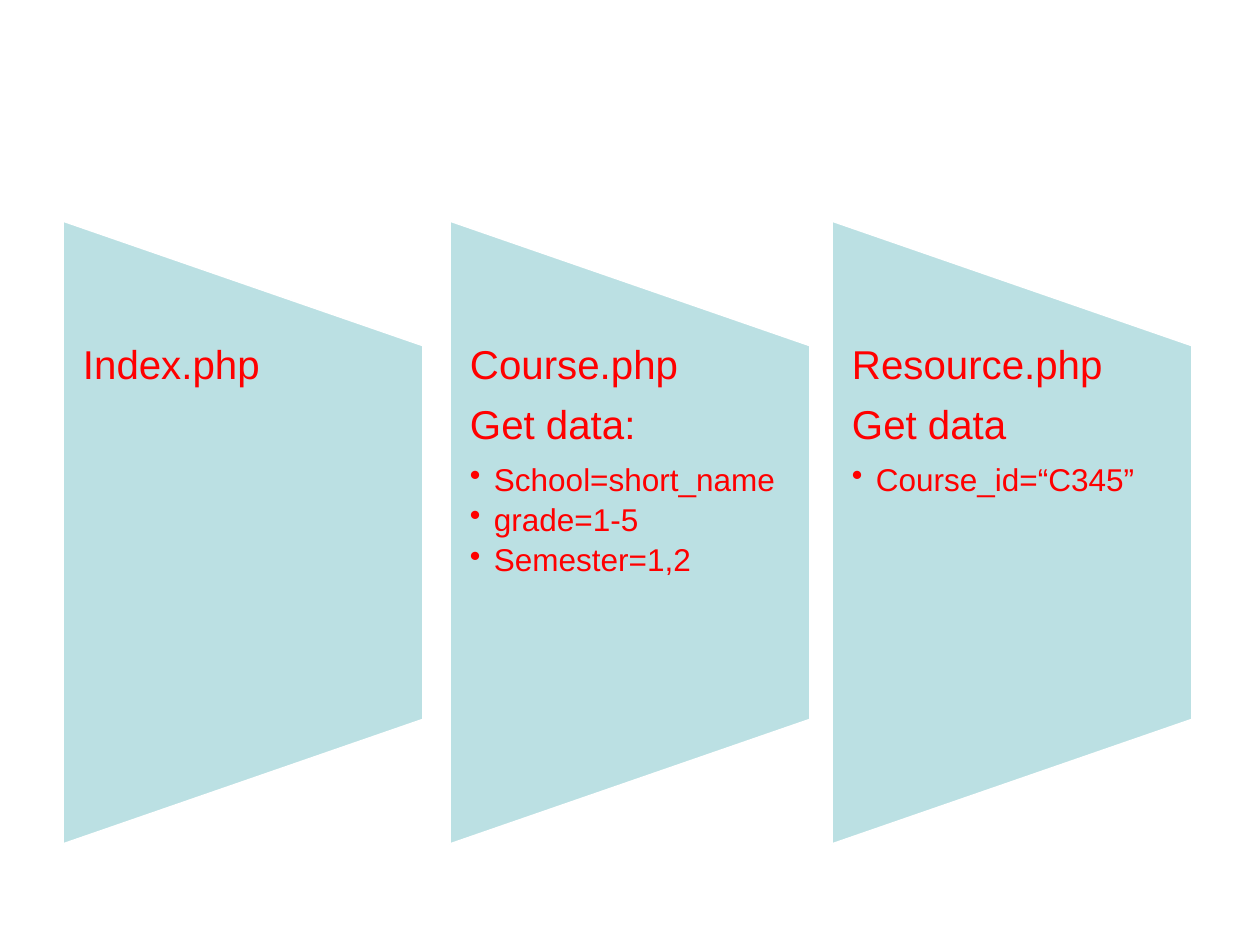
from dataclasses import dataclass

from lxml import etree
from pptx import Presentation
from pptx import util as u
from pptx.dml.color import RGBColor
from pptx.enum import shapes, text
from pptx.oxml.ns import qn

PX_PER_INCH = 126


def px(n):
    return u.Emu(round(n * 914400 / PX_PER_INCH))


@dataclass(frozen=True)
class Theme:
    font: str = "Arial"
    panel: RGBColor = RGBColor(0xBB, 0xE0, 0xE3)
    outline: RGBColor = RGBColor(0xFF, 0xFF, 0xFF)
    ink: RGBColor = RGBColor(0xFF, 0x00, 0x00)
    heading: int = 23
    item: int = 18


def write(p, content, *, font, size, color, after, indent=0):
    """Fill a paragraph; a positive indent makes it a bullet."""
    p.line_spacing = 0.9
    p.space_after = u.Pt(after)
    r = p.add_run()
    r.text = content
    r.font.name, r.font.size = font, u.Pt(size)
    r.font.color.rgb = color
    if indent:
        p.level = 1
        pPr = p._p.get_or_add_pPr()
        pPr.set("marL", str(px(indent)))
        pPr.set("indent", str(-px(indent)))
        etree.SubElement(pPr, qn("a:buChar")).set("char", "•")


class Deck:
    def __init__(self, prs, theme):
        self.theme = theme
        self.s = prs.slides.add_slide(prs.slide_layouts[6])

    def panel(self, x, y, w, h):
        """Trapezoid with its long side on the left, turned a quarter left."""
        sp = self.s.shapes.add_shape(
            shapes.MSO_SHAPE.FLOWCHART_MANUAL_OPERATION,
            px(x + (w - h) / 2), px(y + (h - w) / 2), px(h), px(w))
        sp.rotation = 270
        sp.shadow.inherit = False
        sp.fill.solid()
        sp.fill.fore_color.rgb = self.theme.panel
        sp.line.color.rgb = self.theme.outline
        sp.line.width = u.Pt(1)

    def body(self, x, y, w, h, headings, items):
        t = self.theme
        tf = self.s.shapes.add_textbox(px(x), px(y), px(w), px(h)).text_frame
        tf.word_wrap = True
        tf.vertical_anchor = text.MSO_ANCHOR.TOP
        tf.margin_left = tf.margin_right = px(20)
        tf.margin_top = tf.margin_bottom = 0
        heading = dict(size=t.heading, after=9.25)
        item = dict(size=t.item, after=3.5, indent=24)
        lines = [(h, heading) for h in headings] + [(i, item) for i in items]
        for n, (line, style) in enumerate(lines):
            p = tf.add_paragraph() if n else tf.paragraphs[0]
            write(p, line, font=t.font, color=t.ink, **style)


def main():
    prs = Presentation()
    prs.slide_width, prs.slide_height = px(1260), px(945)
    deck = Deck(prs, Theme())

    # One panel per page: left edge, headings, query parameters
    pages = [
        (63, ["Index.php"], []),
        (450, ["Course.php", "Get data:"],
         ["School=short_name", "grade=1-5", "Semester=1,2"]),
        (832, ["Resource.php", "Get data"], ["Course_id=“C345”"]),
    ]
    top, width, height = 221, 360, 623
    inset = height // 5  # the slanted sides take a fifth each
    for x, headings, items in pages:
        deck.panel(x, top, width, height)
        deck.body(x, top + inset, width, height - 2 * inset, headings, items)

    prs.save("out.pptx")


if __name__ == "__main__":
    main()
